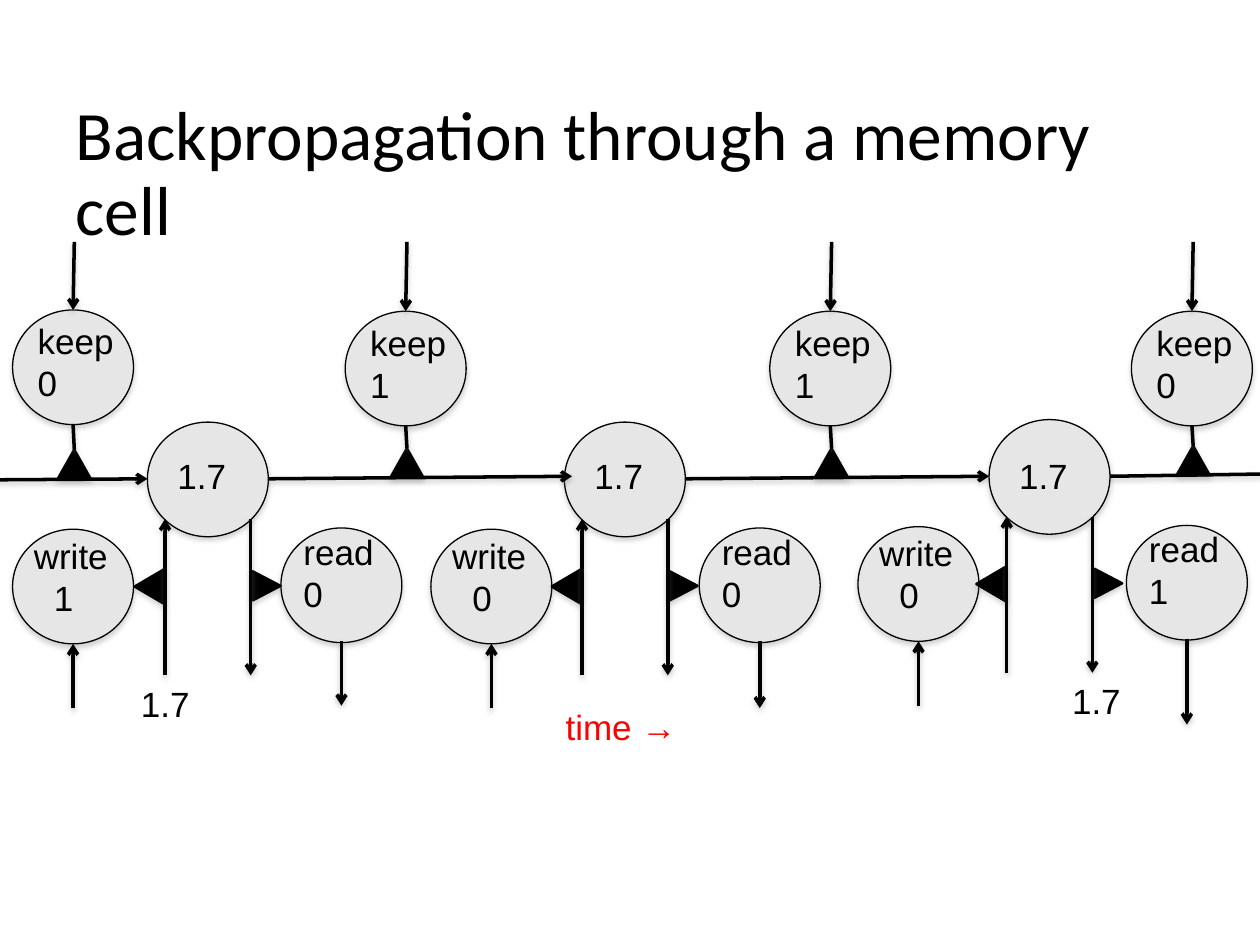
"""Build the slide on backpropagation through a memory cell."""
from lxml import etree
from pptx import Presentation
from pptx.dml.color import RGBColor
from pptx.enum.shapes import MSO_CONNECTOR, MSO_SHAPE
from pptx.enum.text import MSO_ANCHOR, MSO_AUTO_SIZE, PP_ALIGN
from pptx.oxml import parse_xml
from pptx.oxml.ns import qn
from pptx.util import Inches, Pt

OVAL, GATE = MSO_SHAPE.OVAL, MSO_SHAPE.ISOSCELES_TRIANGLE
LINE = MSO_CONNECTOR.STRAIGHT
MIDDLE, LEFT = MSO_ANCHOR.MIDDLE, PP_ALIGN.LEFT
GROW = MSO_AUTO_SIZE.SHAPE_TO_FIT_TEXT
INK = {"black": "000000", "gray": "E7E6E6", "red": "FF0000", "shade": "808080"}
INK_RGB = {name: RGBColor.from_string(code) for name, code in INK.items()}
NS = "http://schemas.openxmlformats.org/drawingml/2006/main"


def shade(item, alpha, dist):
    """Give a shape or line a soft shadow below it."""
    item._element.spPr.append(parse_xml(
        f'<a:effectLst xmlns:a="{NS}"><a:outerShdw blurRad="{Pt(3.1)}" '
        f'dist="{Pt(dist)}" dir="5400000" rotWithShape="0">'
        f'<a:srgbClr val="{INK["shade"]}"><a:alpha val="{alpha * 1000}"/>'
        f'</a:srgbClr></a:outerShdw></a:effectLst>'))


def write(run, size, face, tone):
    """Set the look of one run."""
    run.font.size, run.font.name = Pt(size), face
    run.font.color.rgb = INK_RGB[tone]


deck = Presentation()
deck.slide_width, deck.slide_height = Inches(10), Inches(7.5)
slide = deck.slides.add_slide(deck.slide_layouts[5])

title = slide.shapes.title
title.left, title.top, title.width, title.height = map(Inches, (0.5, 0.92, 9, 0.94))
frame = title.text_frame
frame.vertical_anchor, frame.word_wrap = MIDDLE, True
frame.auto_size = MSO_AUTO_SIZE.NONE
para = frame.paragraphs[0]
para.alignment, para.line_spacing = LEFT, 0.9
run = para.add_run()
run.text = "Backpropagation through a memory cell"
write(run, 39.6, "Calibri", "black")

# cell left, row shift, write left, read left, write bit, read bit, read end
cells = [
    (1.17, 0, 0.1, 2.23, "1", "0", 5.6),
    (4.48, 0, 3.42, 5.55, "0", "0", 5.62),
    (7.85, -0.02, 6.81, 8.94, "0", "1", 5.75),
]
keeps = [
    (0.1, 2.46, 3.57, "0"),
    (2.74, 2.47, 3.56, "1"),
    (6.11, 2.47, 3.56, "1"),
    (8.98, 2.47, 3.54, "0"),
]
nodes, gates, wires, notes = [], [], [], []

for x, dy, put, get, bit, out, end in cells:
    nodes += [(x, 3.35 + dy), (put, 4.2 + dy), (get, 4.19 + dy)]
    gates += [(x + 0.83, 4.54 + dy, 0.23, 0.22, 90),
              (x - 0.12, 4.54 + dy, 0.27, 0.23, 270)]
    wires += [(x + 0.14, 5.36 + dy, x + 0.14, 4.12 + dy, True),
              (x + 0.82, 4.12 + dy, x + 0.82, 5.36 + dy, True),
              (put + 0.48, 5.62 + dy, put + 0.48, 5.11 + dy, True),
              (get + 0.48, 5.09 + dy, get + 0.48, end, True)]
    notes += [(x + 0.06, 3.56, 0.77, 0.44, [("1.7", 0.08)], "black"),
              (put + 0.07, 4.19 + dy, 0.8, 0.77, [("write", 0), (bit, 0.16)], "black"),
              (get + 0.08, 4.16 + dy, 1.12, 0.77, [("read", 0), (out, 0)], "black")]

for x, y, tip, bit in keeps:
    nodes.append((x, y))
    gates.append((x + 0.36, tip, 0.26, 0.23, 0))
    wires += [(x + 0.49, tip, x + 0.48, y + 0.91, False),
              (x + 0.49, 1.92, x + 0.48, y, True)]
    notes.append((x + 0.1, y + 0.03, 0.87, 0.77, [(f"keep {bit}", 0)], "black"))

wires += [(-0.3, 3.81, 1.17, 3.8, True), (2.13, 3.8, 4.54, 3.78, True),
          (5.44, 3.8, 7.85, 3.78, True), (8.81, 3.78, 10.18, 3.76, True)]
notes += [(8.33, 5.34, 1.02, 0.44, [("1.7", 0.08)], "black"),
          (0.94, 5.37, 1.02, 0.44, [("1.7", 0.08)], "black"),
          (4.39, 5.55, 1.92, 0.44, [("time →", 0)], "red")]

forms = [(OVAL, x, y, 0.96, 0.91, 0, "gray", 0.75) for x, y in nodes]
forms += [(GATE, *gate, "black", 1.5) for gate in gates]
for kind, x, y, w, h, turn, tone, edge in forms:
    form = slide.shapes.add_shape(kind, *map(Inches, (x, y, w, h)))
    form.rotation = turn
    form.fill.solid()
    form.fill.fore_color.rgb = INK_RGB[tone]
    form.line.color.rgb, form.line.width = INK_RGB["black"], Pt(edge)
    shade(form, 35, 1.8)

for *ends, arrow in wires:
    wire = slide.shapes.add_connector(LINE, *map(Inches, ends))
    wire.line.color.rgb, wire.line.width = INK_RGB["black"], Pt(2)
    if arrow:
        etree.SubElement(wire.line._get_or_add_ln(), qn("a:tailEnd"), type="arrow")
    shade(wire, 38, 1.6)

for x, y, w, h, rows, tone in notes:
    frame = slide.shapes.add_textbox(*map(Inches, (x, y, w, h))).text_frame
    frame.word_wrap, frame.auto_size = True, GROW
    for num, (words, inset) in enumerate(rows):
        para = frame.add_paragraph() if num else frame.paragraphs[0]
        para._p.get_or_add_pPr().set("marL", str(Inches(inset)))
        run = para.add_run()
        run.text = words
        write(run, 20, "Arial", tone)

deck.save("out.pptx")
